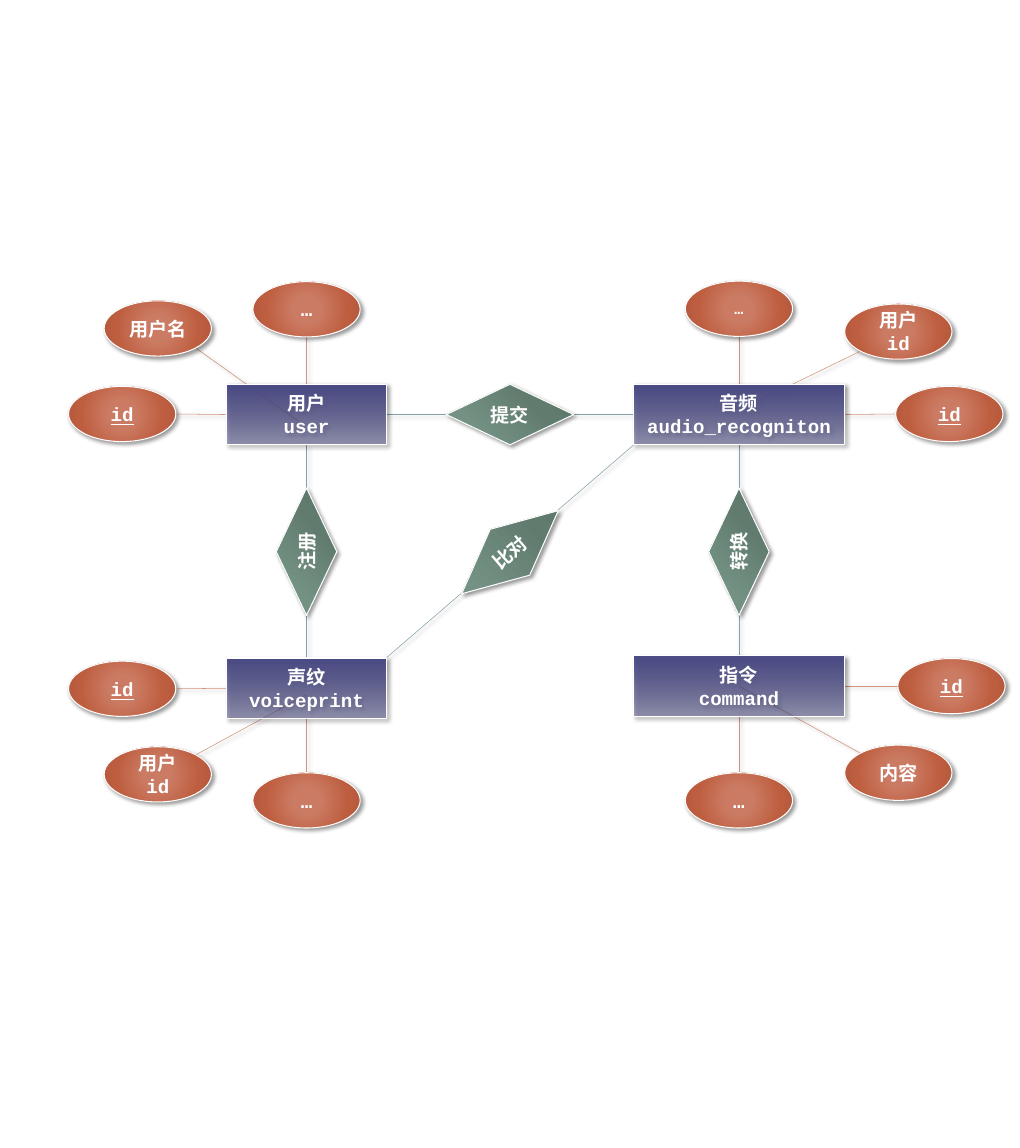
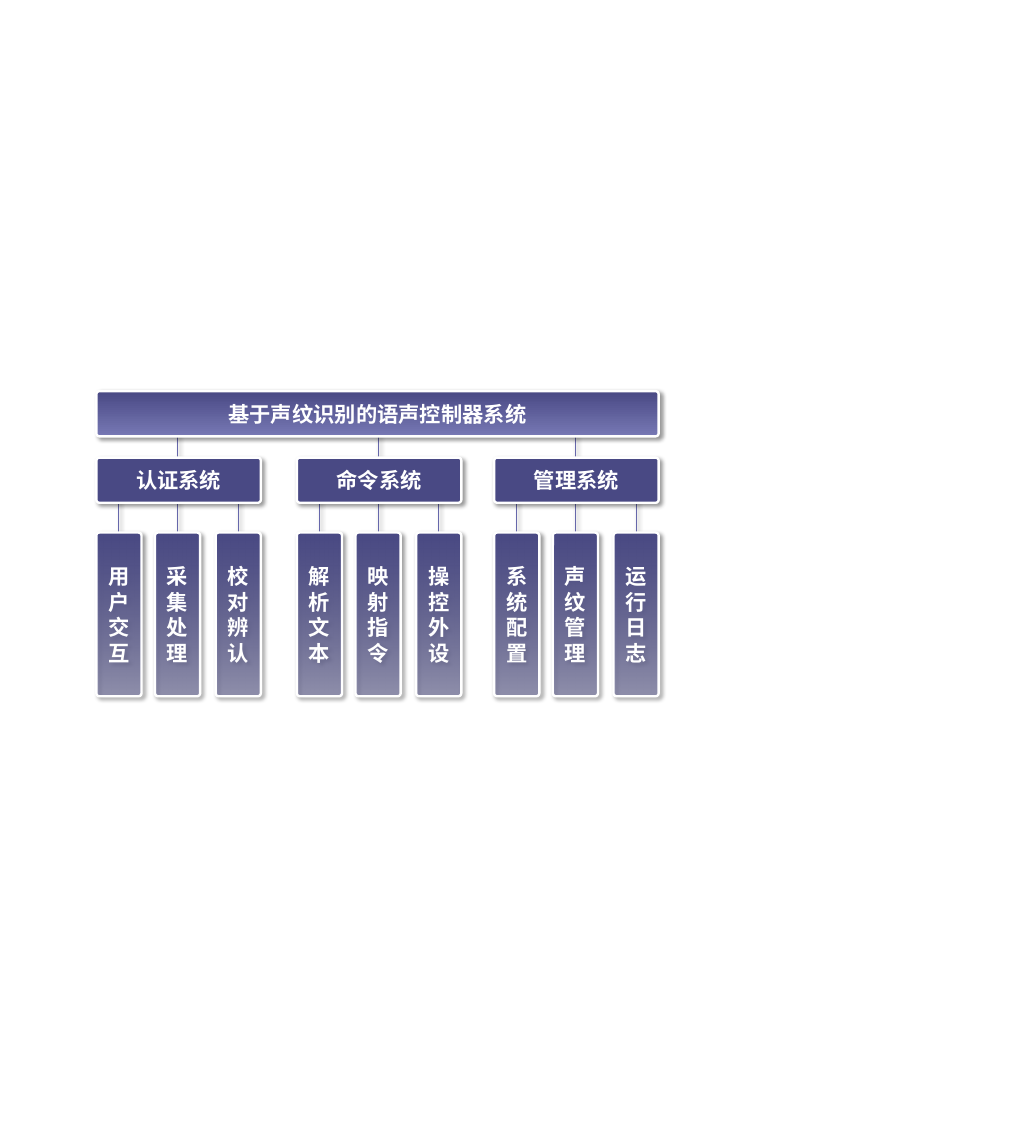
from dataclasses import dataclass
from math import sqrt

from pptx import Presentation
from pptx import util as u
from pptx.dml.color import RGBColor
from pptx.enum import shapes, text
from pptx.oxml import parse_xml
from pptx.oxml.ns import nsdecls, qn

# Entities: centre x, centre y, width, text lines
ENTITIES = {
    "user": (288.5, 390, 150, ["用户", "user"]),
    "audio": (695.5, 390, 198, ["音频", "audio_recogniton"]),
    "voice": (288.5, 647.5, 150, ["声纹", "voiceprint"]),
    "order": (695.5, 645.5, 198, ["指令", "command"]),
}
# Relations: text, the two entities, centre x, centre y, rotation
RELATIONS = [
    ("提交", "user", "audio", 480, 390, 0),
    ("注册", "user", "voice", 288.5, 519, 270),
    ("转换", "audio", "order", 695.5, 519, 270),
    ("比对", "voice", "audio", 480, 519.5, 319.3),
]
# Attributes: text, entity, centre x, centre y, shift of the line's end
ATTRS = [
    ("id", "user", 115, 389.5, (0, 0)),
    ("用户名", "user", 148.5, 309, (-8, 6)),
    ("…", "user", 288.5, 291, (0, 0)),
    ("id", "voice", 115, 648, (0, 0)),
    ("用户id", "voice", 148.5, 728.5, (0, 6)),
    ("…", "voice", 288.5, 753, (0, 0)),
    ("…", "order", 695.5, 753, (0, 0)),
    ("id", "order", 895.5, 645.5, (0, 0)),
    ("内容", "order", 845.5, 727, (0, 0)),
    ("id", "audio", 893.5, 389.5, (0, 0)),
    ("用户id", "audio", 845.5, 312, (0, -4)),
    ("…", "audio", 695.5, 290.5, (0, 0)),
]
TITLE = "基于声纹识别的语声控制器系统"
# Systems: left, name, modules
SYSTEMS = [
    (90.7, "认证系统", ["用户交互", "采集处理", "校对辨认"]),
    (279.4, "命令系统", ["解析文本", "映射指令", "操控外设"]),
    (465.1, "管理系统", ["系统配置", "声纹管理", "运行日志"]),
]


@dataclass(frozen=True)
class Theme:
    font: str = "Courier New"
    white: str = "FFFFFF"
    navy: str = "494984"
    lilac: str = "7778B4"
    stem: str = "6667AB"
    teal: str = "85A0A9"
    coral: str = "D4937F"
    reds: tuple = ("CB7B63", "CB7B63", "BE5E40", "B2573C")
    greens: tuple = ("749284", "749284", "617C6F", "5B7368")
    small: int = 14
    body: int = 18
    large: int = 20


T = Theme()
ENT_H, REL_W, REL_H, ATT_W, ATT_H = 57, 120, 57, 101, 52
KIND = shapes.MSO_SHAPE


def grad(stops, shade):
    """Gradient fill from (position, colour, alpha) stops, all in percent."""
    marks = "".join(
        f'<a:gs pos="{pos * 1000}"><a:srgbClr val="{hue}">'
        f'<a:alpha val="{alpha * 1000}"/></a:srgbClr></a:gs>'
        for pos, hue, alpha in stops)
    return f'<a:gradFill {nsdecls("a")} rotWithShape="1"><a:gsLst>{marks}</a:gsLst>{shade}</a:gradFill>'


def down(end, alpha):
    return grad([(0, T.navy, 100), (100, end, alpha)], '<a:lin ang="5400000" scaled="0"/>')


def glow(hues, left, top, right, base):
    stops = [(pos, hue, 100) for pos, hue in zip((0, 23, 69, 97), hues)]
    sides = zip("ltrb", (left, top, right, base))
    rect = " ".join(f'{side}="{val * 1000}"' for side, val in sides)
    return grad(stops, f'<a:path path="circle"><a:fillToRect {rect}/></a:path>')


FADE = down(T.navy, 47)
HEAD = down(T.lilac, 100)
RED = glow(T.reds, 50, 50, 50, 50)
GREEN = glow(T.greens, 0, 100, 100, 0)


def shade(part):
    part._element.spPr.append(parse_xml(
        f'<a:effectLst {nsdecls("a")}><a:outerShdw blurRad="{u.Pt(4)}" dist="{u.Pt(3)}" '
        'dir="2700000" algn="tl" rotWithShape="0"><a:srgbClr val="000000">'
        '<a:alpha val="40000"/></a:srgbClr></a:outerShdw></a:effectLst>'))


def write(shape, lines, size=T.body, line=False):
    frame = shape.text_frame
    frame.word_wrap = True
    frame.vertical_anchor = text.MSO_ANCHOR.MIDDLE
    for i, words in enumerate(lines):
        para = frame.paragraphs[0] if i == 0 else frame.add_paragraph()
        para.alignment = text.PP_ALIGN.CENTER
        run = para.add_run()
        run.text = words
        font = run.font
        font.name, font.size, font.bold = T.font, u.Pt(size), True
        font.color.rgb = RGBColor.from_string(T.white)
        if line:
            font.underline = True


def block(slide, kind, box, fill, lines, edge=1, turn=0, **style):
    """Shape with text; fill is a hex colour or gradient XML."""
    shape = slide.shapes.add_shape(kind, *map(u.Pt, box))
    shape.rotation = turn
    if fill.startswith("<"):
        shape.fill.background()
        props = shape._element.spPr
        props.replace(props.find(qn("a:noFill")), parse_xml(fill))
    else:
        shape.fill.solid()
        shape.fill.fore_color.rgb = RGBColor.from_string(fill)
    shape.line.color.rgb = RGBColor.from_string(T.white)
    shape.line.width = u.Pt(edge)
    if kind == KIND.ROUNDED_RECTANGLE:
        shape.adjustments[0] = 0.066
    shade(shape)
    write(shape, lines, **style)


def link(slide, start, end, hue, width=0.5):
    wire = slide.shapes.add_connector(
        shapes.MSO_CONNECTOR.STRAIGHT, *map(u.Pt, (*start, *end)))
    wire.line.color.rgb = RGBColor.from_string(hue)
    wire.line.width = u.Pt(width)
    shade(wire)


def sign(a, b):
    return 1 if b > a else -1


def rim(node, goal, skew):
    """Point of a node facing the goal; skew scales the half size on slants."""
    x, y, w, h = node
    gx, gy = goal[:2]
    if abs(gx - x) < 5:
        return x, y + sign(y, gy) * h / 2
    if abs(gy - y) < 5:
        return x + sign(x, gx) * w / 2, y
    return x + sign(x, gx) * skew * w / 2, y + sign(y, gy) * skew * h / 2


def centred(x, y, w, h):
    return x - w / 2, y - h / 2, w, h


def draw_model(slide):
    nodes = {key: (x, y, w, ENT_H) for key, (x, y, w, _) in ENTITIES.items()}
    for _, one, two, x, y, turn in RELATIONS:
        if turn in (0, 270):
            size = (REL_H, REL_W) if turn else (REL_W, REL_H)
            gem = (x, y, *size)
            for key in (one, two):
                link(slide, rim(nodes[key], gem, 1), rim(gem, nodes[key], 1), T.teal)
        else:
            a, b = nodes[one], nodes[two]
            link(slide, rim(a, b, 1), rim(b, a, 1), T.teal)
    for _, key, x, y, (dx, dy) in ATTRS:
        oval, node = (x, y, ATT_W, ATT_H), nodes[key]
        ex, ey = rim(node, oval, 0)
        link(slide, rim(oval, node, sqrt(0.5)), (ex + dx, ey + dy), T.coral)

    for key, (*_, lines) in ENTITIES.items():
        block(slide, KIND.RECTANGLE, centred(*nodes[key]), FADE, lines)
    for words, _, _, x, y, turn in RELATIONS:
        block(slide, KIND.FLOWCHART_DECISION, centred(x, y, REL_W, REL_H),
              GREEN, [words], turn=turn)
    for words, key, x, y, _ in ATTRS:
        size = T.small if (words, key) == ("…", "audio") else T.body
        block(slide, KIND.OVAL, centred(x, y, ATT_W, ATT_H), RED, [words],
              size=size, line=words == "id")


def draw_tree(slide):
    left, wide, bar, tall = SYSTEMS[0][0], 154.8, 42.5, 154
    top, mid, low = 368, 430.5, 501
    steps = (0, 55.2, 112.3)

    def card(box, fill, words):
        block(slide, KIND.ROUNDED_RECTANGLE, box, fill, [words], edge=2.25, size=T.large)

    for x, _, _ in SYSTEMS:
        for i, step in enumerate(steps):
            axis = x + step + bar / 2
            goal = top + 33 if i == 1 else mid + 23
            link(slide, (axis, low), (axis, goal), T.stem, 1)
    for x, _, parts in SYSTEMS:
        for step, words in zip(steps, parts):
            card((x + step, low, bar, tall), FADE, words)
    card((left, top, SYSTEMS[-1][0] + wide - left, bar), HEAD, TITLE)
    for x, words, _ in SYSTEMS:
        card((x, mid, wide, bar), T.navy, words)


def main():
    deck = Presentation()
    deck.slide_width, deck.slide_height = u.Pt(960), u.Pt(1080)
    for draw in (draw_model, draw_tree):
        draw(deck.slides.add_slide(deck.slide_layouts[6]))
    deck.save("out.pptx")


if __name__ == "__main__":
    main()
